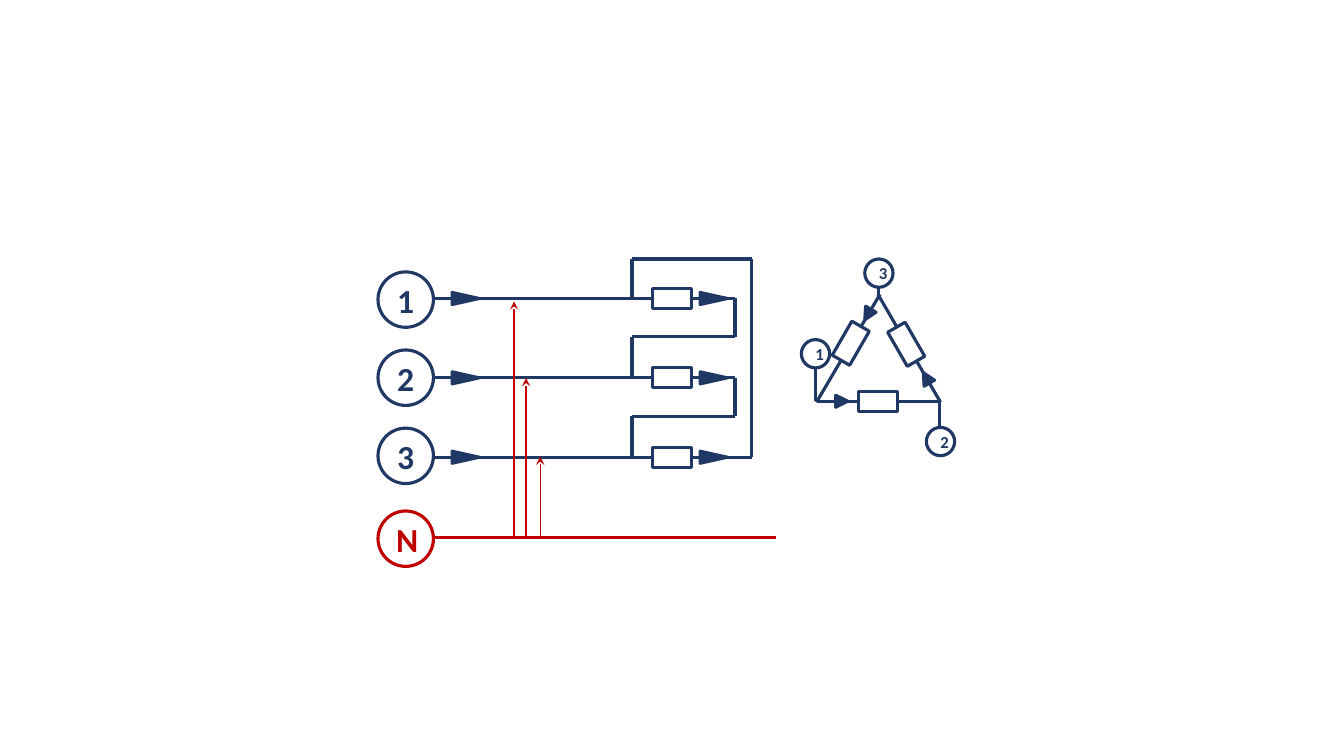
"""Draw a three-phase delta load as a wiring diagram and as a triangle."""
from dataclasses import dataclass

from lxml import etree
from pptx import Presentation
from pptx.dml.color import RGBColor
from pptx.enum import shapes, text
from pptx.oxml import ns
from pptx.util import Pt


@dataclass(frozen=True)
class Theme:
    """Colours, font and sizes in points."""
    navy: str = "203864"
    red: str = "C00000"
    white: str = "FFFFFF"
    font: str = "Calibri"
    wire: float = 2.25
    thin: float = 1
    large: float = 24
    small: float = 12


THEME = Theme()
PHASES = ["1", "2", "3"]
FIRST_ROW, ROW_GAP = 213.2, 56.7
FIRST_SOURCE, SOURCE_GAP, SOURCE_X = 214, 55.8, 289.8
NEUTRAL_Y, NEUTRAL_SOURCE_Y, NEUTRAL_END = 384, 384.8, 554.4
WIRE_START, TAP_X, LOAD_X, RETURN_X, LOOP_X = 309.6, 451.4, 480.2, 525, 537
LOOP_Y, RETURN_DROP = 185, 27.4
FEED_ARROW_X, LOAD_ARROW_X = 332.6, 509.8
SOURCE_SIZE, NODE_SIZE = 39.6, 20.2
LOAD_SIZE, LONG_ARROW, SHORT_ARROW = (14.4, 28.1), (8.6, 19.4), (8.6, 8.6)
VOLTAGES = [(367.2, 215.3), (375.8, 270), (385.9, 326.2)]
DELTA_SIDES = [
    ((583.2, 287.3), (628.6, 210.2)),
    ((671.8, 287.3), (627.1, 210.2)),
    ((671.8, 286.6), (583.9, 286.6)),
]
DELTA_LOADS = [(607.7, 245.2, 30), (647.3, 245.9, 330), (627.1, 286.9, 90)]
DELTA_LEADS = [
    ((582.5, 253.4), (582.5, 286.6)),
    ((671, 311), (671, 285.1)),
    ((627.8, 195.8), (627.8, 212.4)),
]
DELTA_ARROWS = [(601.2, 286.6, 90), (661.7, 270, 330), (619.9, 224.6, 210)]
DELTA_NODES = [(582.5, 252.7), (671.8, 315.4), (627.8, 195.1)]


def add_wire(slide, start, end, color=THEME.navy, width=THEME.wire, ends=()):
    """Add a straight wire with optional (tag, type) line ends."""
    wire = slide.shapes.add_connector(
        shapes.MSO_CONNECTOR.STRAIGHT, *map(Pt, (*start, *end)))
    wire.line.color.rgb = RGBColor.from_string(color)
    wire.line.width = Pt(width)
    outline = wire.line._get_or_add_ln()
    for tag, kind in ends:
        etree.SubElement(outline, ns.qn(tag), type=kind)
    etree.SubElement(wire._element.spPr, ns.qn("a:effectLst"))


def add_part(slide, kind, center, size, fill=None, color=THEME.navy, turn=0):
    """Add an outlined part around its centre."""
    (x, y), (width, height) = center, size
    part = slide.shapes.add_shape(
        kind, Pt(x - width / 2), Pt(y - height / 2), Pt(width), Pt(height))
    part.shadow.inherit = False
    part.rotation = turn
    if fill:
        part.fill.solid()
        part.fill.fore_color.rgb = RGBColor.from_string(fill)
    else:
        part.fill.background()
    part.line.color.rgb = RGBColor.from_string(color)
    part.line.width = Pt(THEME.wire)
    return part


def add_terminal(slide, label, center, size, points, fill=None, color=THEME.navy):
    """Add a labelled round terminal."""
    terminal = add_part(slide, shapes.MSO_SHAPE.OVAL, center, (size, size), fill, color)
    frame = terminal.text_frame
    frame.text = label
    frame.vertical_anchor = text.MSO_ANCHOR.MIDDLE
    paragraph = frame.paragraphs[0]
    paragraph.alignment = text.PP_ALIGN.CENTER
    font = paragraph.runs[0].font
    for name, value in {"name": THEME.font, "size": Pt(points), "bold": True}.items():
        setattr(font, name, value)
    font.color.rgb = RGBColor.from_string(color)


def add_load(slide, x, y, turn):
    """Add a load resistor."""
    add_part(slide, shapes.MSO_SHAPE.RECTANGLE, (x, y), LOAD_SIZE, THEME.white, turn=turn)


def add_arrow(slide, x, y, turn, size):
    """Add a solid current arrow."""
    add_part(slide, shapes.MSO_SHAPE.ISOSCELES_TRIANGLE, (x, y), size, THEME.navy, turn=turn)


def draw_circuit(slide):
    """Draw the phases, their loads and the neutral."""
    rows = [FIRST_ROW + i * ROW_GAP for i in range(len(PHASES))]
    for i, (phase, y) in enumerate(zip(PHASES, rows)):
        end = LOOP_X if y == rows[-1] else RETURN_X
        add_wire(slide, (WIRE_START, y), (end, y))
        add_terminal(slide, phase, (SOURCE_X, FIRST_SOURCE + i * SOURCE_GAP),
                     SOURCE_SIZE, THEME.large)
        add_arrow(slide, FEED_ARROW_X, y, 90, LONG_ARROW)
        add_load(slide, LOAD_X, y, 270)
    add_wire(slide, (WIRE_START, NEUTRAL_Y), (NEUTRAL_END, NEUTRAL_Y), THEME.red)
    add_terminal(slide, "N", (SOURCE_X, NEUTRAL_SOURCE_Y), SOURCE_SIZE, THEME.large,
                 color=THEME.red)
    for x, top in VOLTAGES:
        add_wire(slide, (x, NEUTRAL_Y), (x, top), THEME.red, THEME.thin,
                 [("a:tailEnd", "stealth")])
    routes = [[(TAP_X, rows[0]), (TAP_X, LOOP_Y), (LOOP_X, LOOP_Y), (LOOP_X, rows[-1])]]
    for y, following in zip(rows, rows[1:]):
        turn_y = y + RETURN_DROP
        routes.append([(RETURN_X, y), (RETURN_X, turn_y),
                       (TAP_X, turn_y), (TAP_X, following)])
    for route in routes:
        for start, end in zip(route, route[1:]):
            add_wire(slide, start, end)
    for y in rows:
        add_arrow(slide, LOAD_ARROW_X, y, 90, LONG_ARROW)


def draw_delta(slide):
    """Draw the same loads as a triangle."""
    for start, end in DELTA_SIDES:
        add_wire(slide, start, end)
    for load in DELTA_LOADS:
        add_load(slide, *load)
    for start, end in DELTA_LEADS:
        add_wire(slide, start, end, ends=[("a:headEnd", "oval")])
    for arrow in DELTA_ARROWS:
        add_arrow(slide, *arrow, SHORT_ARROW)
    for phase, center in zip(PHASES, DELTA_NODES):
        add_terminal(slide, phase, center, NODE_SIZE, THEME.small, THEME.white)


def main():
    """Build and save the slide."""
    deck = Presentation()
    deck.slide_width, deck.slide_height = Pt(960), Pt(540)
    slide = deck.slides.add_slide(deck.slide_layouts.get_by_name("Blank"))
    draw_circuit(slide)
    draw_delta(slide)
    deck.save("out.pptx")


if __name__ == "__main__":
    main()
